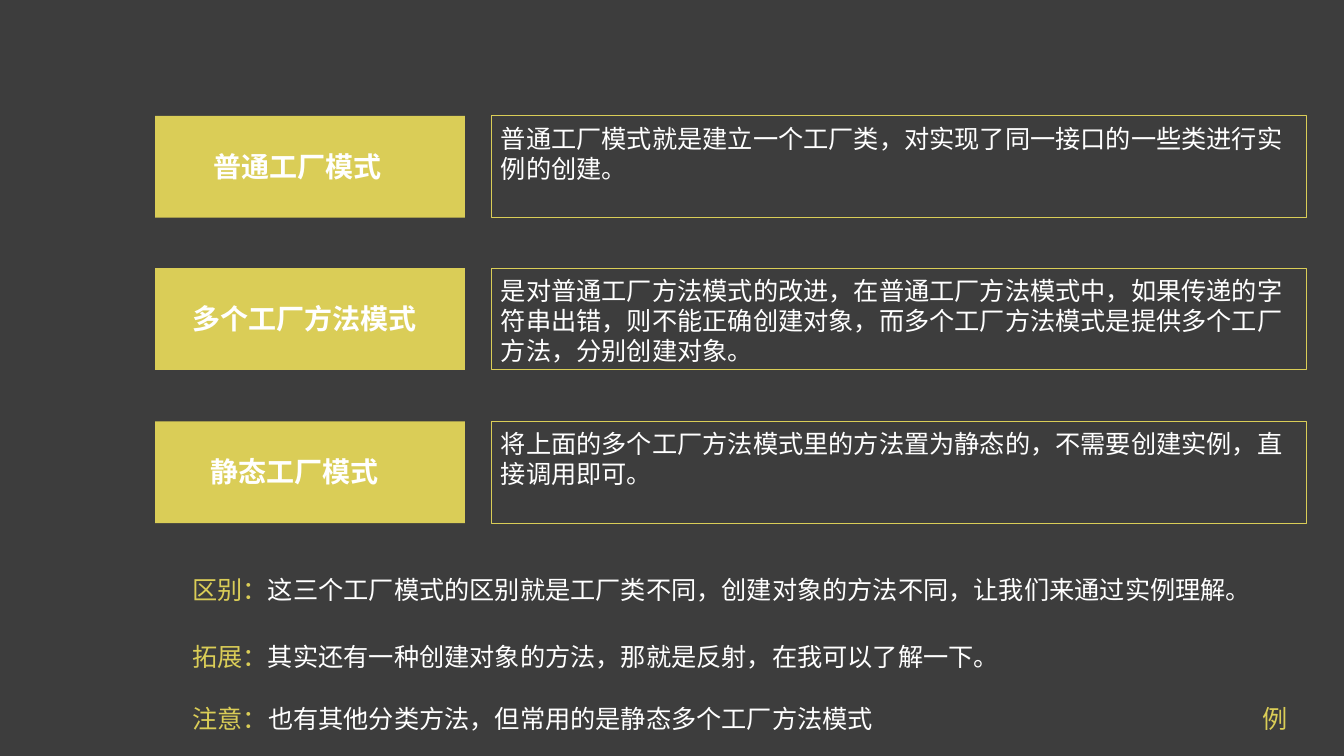
from dataclasses import dataclass

from lxml.etree import SubElement
from pptx import Presentation
from pptx.dml.color import RGBColor
from pptx.enum.shapes import MSO_SHAPE
from pptx.enum.text import MSO_ANCHOR, PP_ALIGN
from pptx.oxml.ns import qn
from pptx.shapes.autoshape import Shape
from pptx.slide import Slide
from pptx.text.text import _Paragraph
from pptx.util import Inches, Pt

CHARCOAL = RGBColor(0x3D, 0x3D, 0x3D)
YELLOW = RGBColor(0xDA, 0xCD, 0x57)
WHITE = RGBColor(0xFF, 0xFF, 0xFF)
KOREAN_SANS = "Noto Sans CJK KR"
CHINESE_SANS = "Noto Sans CJK SC"
LATIN_SANS = "Arial"


@dataclass(frozen=True)
class Pattern:
    top: float
    title: str
    title_left: float
    description: str


@dataclass(frozen=True)
class Remark:
    left: float
    top: float
    width: float
    label: str
    text: str
    font_name: str = LATIN_SANS


PATTERNS = (
    Pattern(1.15, "普通工厂模式", 2.02,
            "普通工厂模式就是建立一个工厂类，对实现了同一接口的一些类进行实例的创建。"),
    Pattern(2.66, "多个工厂方法模式", 1.81,
            "是对普通工厂方法模式的改进，在普通工厂方法模式中，如果传递的字符串出错，"
            "则不能正确创建对象，而多个工厂方法模式是提供多个工厂方法，分别创建对象。"),
    Pattern(4.18, "静态工厂模式", 1.99,
            "将上面的多个工厂方法模式里的方法置为静态的，不需要创建实例，直接调用即可。"),
)
REMARKS = (
    Remark(1.81, 5.65, 10.84, "区别：",
           "这三个工厂模式的区别就是工厂类不同，创建对象的方法不同，让我们来通过实例理解。"),
    Remark(1.81, 6.31, 10.74, "拓展：",
           "其实还有一种创建对象的方法，那就是反射，在我可以了解一下。"),
    Remark(1.81, 6.93, 9.52, "注意：",
           "也有其他分类方法，但常用的是静态多个工厂方法模式", CHINESE_SANS),
    Remark(12.42, 6.93, 0.55, "例", ""),
)


def set_font(paragraph: _Paragraph, name: str, size: int, bold: bool = False) -> None:
    """Set the paragraph font for Latin and East Asian characters."""
    paragraph.alignment = PP_ALIGN.LEFT
    paragraph.font.name = name
    paragraph.font.size = Pt(size)
    paragraph.font.bold = bold
    paragraph.font.color.rgb = WHITE
    properties = next(paragraph._p.iter(qn("a:defRPr")))
    SubElement(properties, qn("a:ea")).set("typeface", name)


def add_span(paragraph: _Paragraph, text: str, color: RGBColor) -> None:
    """Append a coloured run to the paragraph."""
    span = paragraph.add_run()
    span.text = text
    span.font.color.rgb = color


def add_panel(page: Slide, left: float, top: float, width: float) -> Shape:
    """Add a flat rectangle of the common panel height."""
    panel = page.shapes.add_shape(MSO_SHAPE.RECTANGLE, Inches(left), Inches(top),
                                  Inches(width), Inches(1.01))
    panel.shadow.inherit = False
    return panel


def add_line_box(page: Slide, left: float, top: float, width: float,
                 height: float) -> _Paragraph:
    """Add a one-line text box and return its paragraph."""
    box = page.shapes.add_textbox(Inches(left), Inches(top), Inches(width), Inches(height))
    frame = box.text_frame
    frame.word_wrap = True
    frame.vertical_anchor = MSO_ANCHOR.MIDDLE
    frame.margin_top = frame.margin_bottom = 0
    return frame.paragraphs[0]


def add_pattern(page: Slide, pattern: Pattern) -> None:
    """Draw a pattern's outlined description and its yellow title."""
    outline = add_panel(page, 4.87, pattern.top, 8.09)
    outline.fill.background()
    outline.line.color.rgb = YELLOW
    outline.line.width = Pt(0.75)
    frame = outline.text_frame
    frame.word_wrap = True
    frame.vertical_anchor = MSO_ANCHOR.TOP
    frame.margin_top = Inches(0.07)
    frame.margin_bottom = 0
    description = frame.paragraphs[0]
    description.line_spacing = Pt(21.6)
    set_font(description, KOREAN_SANS, 18)
    add_span(description, pattern.description, WHITE)

    plate = add_panel(page, 1.54, pattern.top, 3.07)
    plate.fill.solid()
    plate.fill.fore_color.rgb = YELLOW
    plate.line.fill.background()

    title = add_line_box(page, pattern.title_left, pattern.top + 0.28, 2.51, 0.44)
    set_font(title, KOREAN_SANS, 20, bold=True)
    add_span(title, pattern.title, WHITE)


def add_remark(page: Slide, remark: Remark) -> None:
    """Write a yellow label followed by its white text."""
    para = add_line_box(page, remark.left, remark.top, remark.width, 0.4)
    set_font(para, remark.font_name, 18)
    add_span(para, remark.label, YELLOW)
    if remark.text:
        add_span(para, remark.text, WHITE)


def main() -> None:
    """Build the factory pattern slide."""
    deck = Presentation()
    deck.slide_width = Inches(13.33)
    deck.slide_height = Inches(7.5)
    page = deck.slides.add_slide(deck.slide_layouts[6])
    page.background.fill.solid()
    page.background.fill.fore_color.rgb = CHARCOAL
    for pattern in PATTERNS:
        add_pattern(page, pattern)
    for remark in REMARKS:
        add_remark(page, remark)
    deck.save("out.pptx")


if __name__ == "__main__":
    main()
